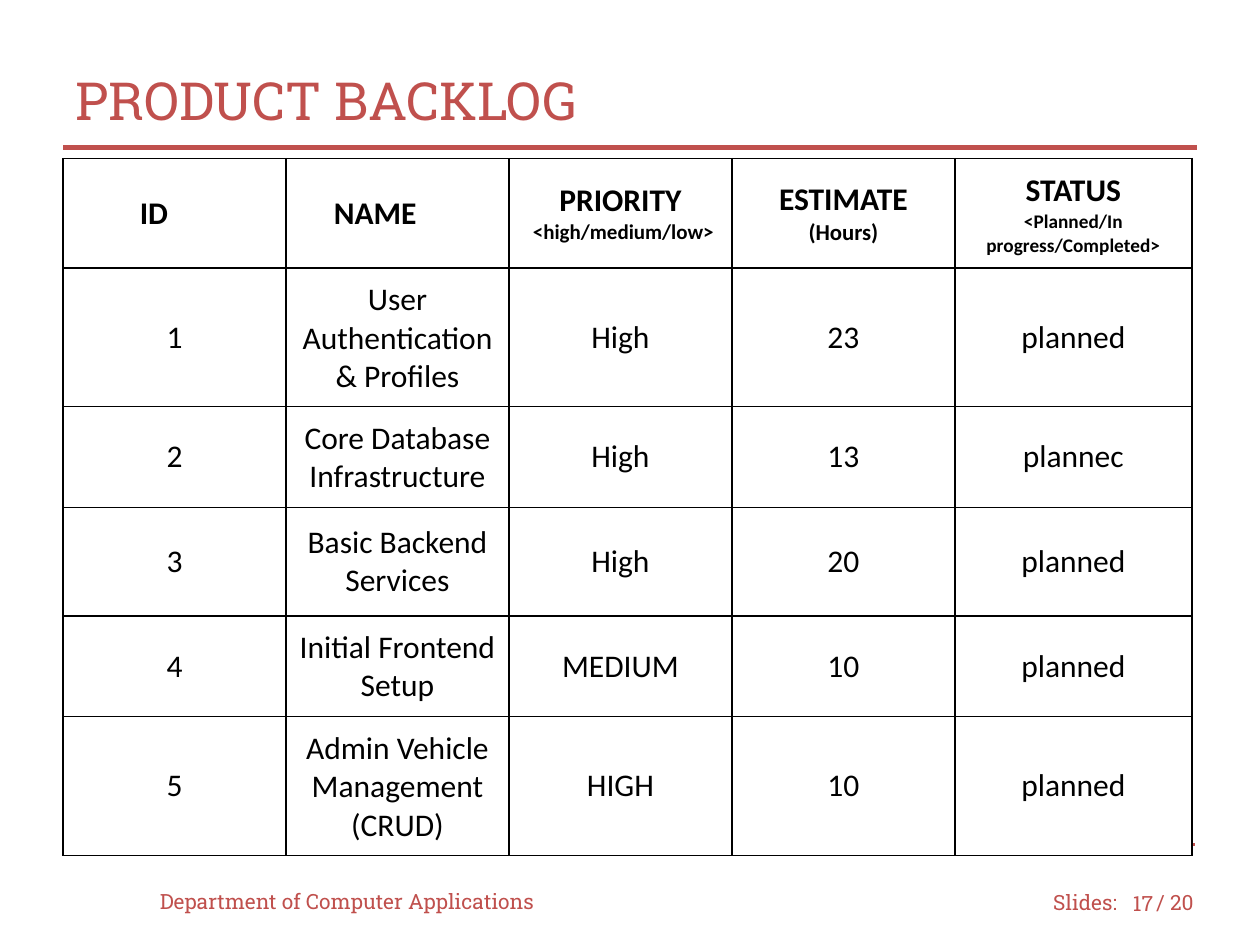
import pptx
import pptx.util
import pptx.dml.color
import pptx.enum.dml
import pptx.enum.shapes
import pptx.enum.text
import pptx.oxml
import pptx.oxml.ns
from lxml import etree

Inches = pptx.util.Inches
Pt = pptx.util.Pt
RED = pptx.dml.color.RGBColor(0xC0, 0x50, 0x4D)
BLACK = pptx.dml.color.RGBColor(0, 0, 0)
WHITE = pptx.dml.color.RGBColor(255, 255, 255)
LEFT = pptx.enum.text.PP_ALIGN.LEFT
MID = pptx.enum.text.PP_ALIGN.CENTER
RIGHT = pptx.enum.text.PP_ALIGN.RIGHT
ANCHOR = pptx.enum.text.MSO_ANCHOR.MIDDLE
qn = pptx.oxml.ns.qn


def write(para, text, size, face, color, bold=False, align=LEFT):
    para.alignment = align
    run = para.add_run()
    run.text = text
    run.font.size = Pt(size)
    run.font.name = face
    run.font.bold = bold
    run.font.color.rgb = color


def edge(cell):
    props = cell._tc.get_or_add_tcPr()
    for pos, side in enumerate(("lnL", "lnR", "lnT", "lnB")):
        line = pptx.oxml.parse_xml(
            f'<a:{side} {pptx.oxml.ns.nsdecls("a")} w="12700"><a:solidFill>'
            f'<a:srgbClr val="{BLACK}"/></a:solidFill></a:{side}>')
        props.insert(pos, line)


deck = pptx.Presentation()
deck.slide_width, deck.slide_height = Inches(10), Inches(7.5)
slide = deck.slides.add_slide(deck.slide_layouts[5])
shapes = slide.shapes

# Title
title = shapes.title
title.left, title.top = Inches(0.5), Inches(0.33)
title.width, title.height = Inches(9), Inches(0.92)
title.text_frame.vertical_anchor = ANCHOR
write(title.text_frame.paragraphs[0], "PRODUCT BACKLOG", 30, "Roboto Slab", RED)

# Rules below the title and above the footer
for y, dash in ((6.7, True), (1.17, False)):
    rule = shapes.add_connector(pptx.enum.shapes.MSO_CONNECTOR.STRAIGHT,
                                Inches(0.5), Inches(y), Inches(9.5), Inches(y))
    rule.line.color.rgb = RED
    rule.line.width = Pt(1.75 if dash else 2.5)
    if dash:
        rule.line.dash_style = pptx.enum.dml.MSO_LINE.DASH
    etree.SubElement(rule._element.spPr, qn("a:effectLst"))

# Footer
footer = [
    ("Department of Computer Applications", 1.17, 6.95, 3.33, LEFT),
    ("Slides:", 8.26, 6.96, 0.75, LEFT),
    ("17", 8.83, 6.97, 0.42, RIGHT),
    ("/ 20", 9.08, 6.96, 0.58, LEFT),
]
for text, x, y, width, align in footer:
    box = shapes.add_textbox(Inches(x), Inches(y), Inches(width), Inches(0.4))
    box.text_frame.word_wrap = True
    box.text_frame.vertical_anchor = ANCHOR
    write(box.text_frame.paragraphs[0], text, 12, "Roboto Slab", RED, align=align)

# Backlog: heads hold (text, size, left indent or None when centred)
heads = [
    [("ID", 18, 0.51)],
    [("NAME", 18, 0.28)],
    [("PRIORITY", 18, None), ("<high/medium/low>", 12, 0.09)],
    [("ESTIMATE", 18, None), ("(Hours)", 13, None)],
    [("STATUS", 18, None), ("<Planned/In progress/Completed>", 11, None)],
]
items = [
    ("1", "User Authentication & Profiles", "High", "23", "planned"),
    ("2", "Core Database Infrastructure", "High", "13", "plannec"),
    ("3", "Basic Backend Services", "High", "20", "planned"),
    ("4", "Initial Frontend Setup", "MEDIUM", "10", "planned"),
    ("5", "Admin Vehicle Management (CRUD)", "HIGH", "10", "planned"),
]
rows = [heads] + [[[(text, 18, None)] for text in item] for item in items]
widths = [1.77] * 4 + [1.88]
heights = [0.84, 1.06, 0.77, 0.86, 0.77, 1.06]

table = shapes.add_table(len(rows), len(widths), Inches(0.5), Inches(1.26),
                         Inches(sum(widths)), Inches(sum(heights))).table
table.horz_banding = False
for col, width in zip(table.columns, widths):
    col.width = Inches(width)
for row, height in zip(table.rows, heights):
    row.height = Inches(height)

for r, row in enumerate(rows):
    for c, lines in enumerate(row):
        cell = table.cell(r, c)
        cell.fill.solid()
        cell.fill.fore_color.rgb = WHITE
        cell.vertical_anchor = ANCHOR
        cell.margin_left = cell.margin_right = Inches(0.1)
        cell.margin_top = cell.margin_bottom = Inches(0.1)
        edge(cell)
        frame = cell.text_frame
        for n, (text, size, indent) in enumerate(lines):
            para = frame.add_paragraph() if n else frame.paragraphs[0]
            align = MID if indent is None else LEFT
            write(para, text, size, "Calibri", BLACK, r == 0, align)
            if indent:
                para._p.get_or_add_pPr().set("marL", str(Inches(indent)))

deck.save("out.pptx")
